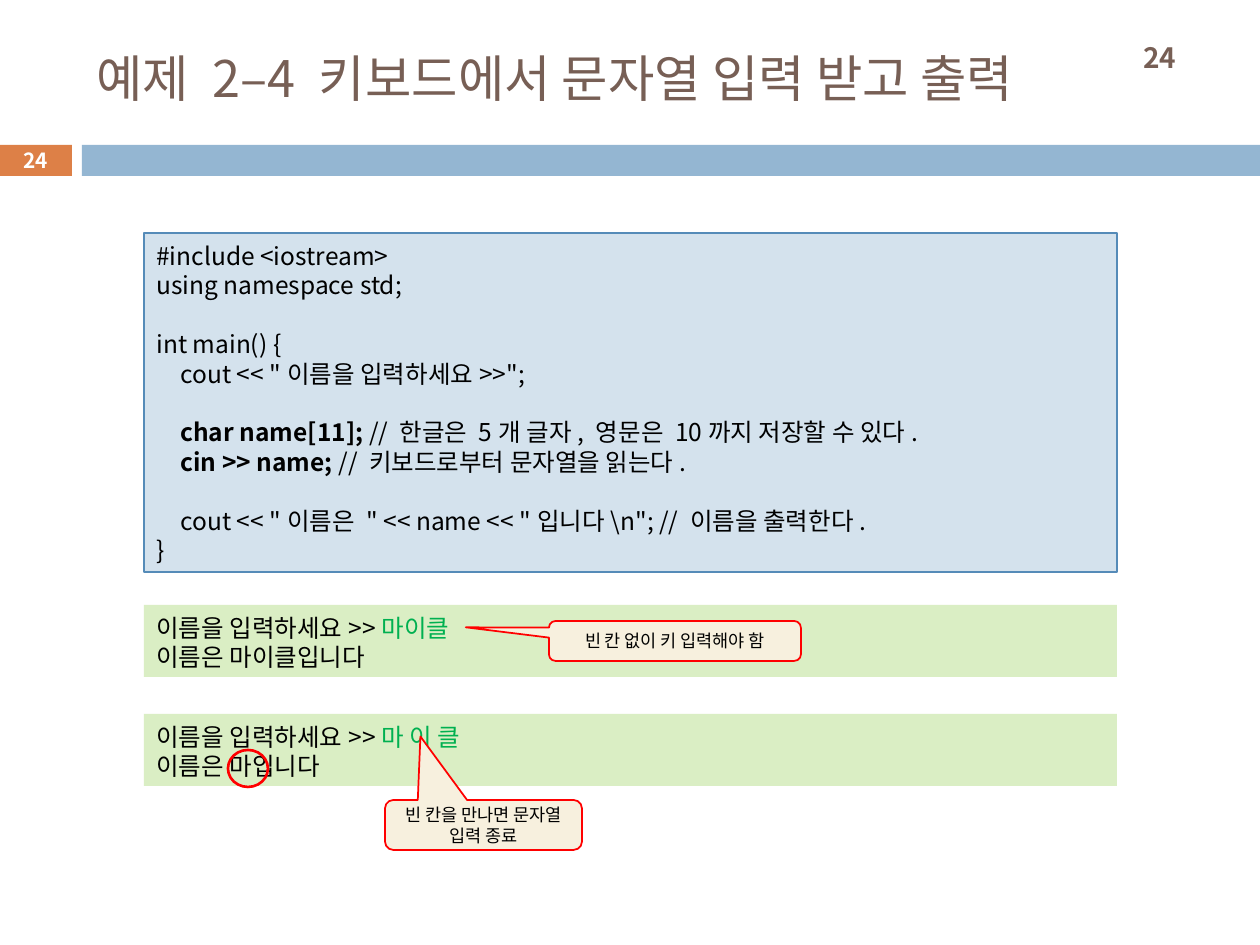
from lxml.etree import SubElement
from pptx import Presentation
from pptx.dml.color import RGBColor
from pptx.enum.shapes import MSO_SHAPE
from pptx.enum.text import MSO_ANCHOR, PP_ALIGN
from pptx.oxml.ns import qn
from pptx.util import Emu, Pt

BLACK, WHITE, BROWN, GREEN, RED = "000000", "FFFFFF", "775F55", "00B050", "FF0000"
ORANGE, BLUE, CODE_FILL, CODE_LINE = "DD8047", "94B6D2", "D4E2ED", "558BB8"
OUTPUT_FILL, NOTE_FILL = "DAEEC4", "F7F0DE"


def px(length):
    return Emu(round(length * 9144000 / 1260))


def color(value):
    return RGBColor.from_string(value)


class SlideBuilder:
    font = "Noto Sans CJK KR"
    line_ratio = 1.2

    def __init__(self, slide):
        self.slide = slide

    def format_run(self, run, size, hue=BLACK, bold=False):
        run.font.name = self.font
        run.font.size = Pt(size)
        run.font.bold = bold
        run.font.color.rgb = color(hue)
        SubElement(run.font._element, qn("a:ea"), typeface=self.font)

    def place(self, shape, box):
        shape.left, shape.top, shape.width, shape.height = map(px, box)

    def title(self, text, box, size):
        shape = self.slide.shapes.title
        self.place(shape, box)
        shape.text_frame.text = text
        shape.text_frame.vertical_anchor = MSO_ANCHOR.MIDDLE
        paragraph = shape.text_frame.paragraphs[0]
        paragraph.alignment = PP_ALIGN.LEFT
        self.format_run(paragraph.runs[0], size, BROWN)

    def shape(self, kind, box, fill=None, line=None, width=1):
        shape = self.slide.shapes.add_shape(kind, *map(px, box))
        shape.shadow.inherit = False
        if fill:
            shape.fill.solid()
            shape.fill.fore_color.rgb = color(fill)
        else:
            shape.fill.background()
        if line:
            shape.line.color.rgb = color(line)
            shape.line.width = Pt(width)
        else:
            shape.line.fill.background()
        return shape

    def number(self, text, box, size, hue):
        frame = self.slide.shapes.add_textbox(*map(px, box)).text_frame
        frame.word_wrap = True
        frame.vertical_anchor = MSO_ANCHOR.MIDDLE
        frame.text = text
        frame.paragraphs[0].alignment = PP_ALIGN.CENTER
        self.format_run(frame.paragraphs[0].runs[0], size, hue, True)

    def listing(self, box, lines, fill, line=None, gaps=(), size=14):
        shape = self.shape(MSO_SHAPE.RECTANGLE, box, fill, line, 0.75)
        frame = shape.text_frame
        frame.word_wrap = True
        frame.vertical_anchor = MSO_ANCHOR.TOP
        frame.margin_top = px(8)
        height = Pt(size * self.line_ratio)
        for index, parts in enumerate(lines):
            paragraph = frame.add_paragraph() if index else frame.paragraphs[0]
            paragraph.alignment = PP_ALIGN.LEFT
            paragraph.line_spacing = height
            if index in gaps:
                paragraph.space_before = height
            tabs = SubElement(paragraph._p.get_or_add_pPr(), qn("a:tabLst"))
            SubElement(tabs, qn("a:tab"), pos=str(px(24)), algn="l")
            for text, hue, bold in parts:
                run = paragraph.add_run()
                run.text = text
                self.format_run(run, size, hue, bold)

    def callout(self, box, text, tip, size=10):
        shape = self.shape(MSO_SHAPE.ROUNDED_RECTANGULAR_CALLOUT, box, NOTE_FILL, RED)
        shape.adjustments[0], shape.adjustments[1] = tip
        frame = shape.text_frame
        frame.word_wrap = True
        frame.vertical_anchor = MSO_ANCHOR.MIDDLE
        frame.text = text
        paragraph = frame.paragraphs[0]
        paragraph.alignment = PP_ALIGN.CENTER
        paragraph.line_spacing = Pt(size * self.line_ratio)
        self.format_run(paragraph.runs[0], size)


def plain(text):
    return text, BLACK, False


def strong(text):
    return text, BLACK, True


def main():
    presentation = Presentation()
    presentation.slide_width, presentation.slide_height = px(1260), px(945)
    builder = SlideBuilder(presentation.slides.add_slide(presentation.slide_layouts[5]))

    builder.shape(MSO_SHAPE.RECTANGLE, (-1, 145, 73, 31), ORANGE)
    builder.shape(MSO_SHAPE.RECTANGLE, (82, 145, 1178, 31), BLUE)
    builder.number("24", (1102, 31, 116, 53), 16, BROWN)
    builder.title("예제 2–4 키보드에서 문자열 입력 받고 출력", (84, 31, 1124, 93), 28.8)
    builder.number("24", (-1, 143, 73, 34), 11.9, WHITE)

    code = [
        [plain("#include <iostream>")],
        [plain("using namespace std;")],
        [plain("int main() {")],
        [plain("\tcout << \"이름을 입력하세요>>\";")],
        [strong("\tchar name[11]; "),
         plain("// 한글은 5개 글자, 영문은 10까지 저장할 수 있다.")],
        [strong("\tcin >> name; "), plain("// 키보드로부터 문자열을 읽는다.")],
        [plain("\tcout << \"이름은 \" << name << \"입니다\\n\"; // 이름을 출력한다.")],
        [plain("}")],
    ]
    builder.listing((144, 233, 973, 339), code, CODE_FILL, CODE_LINE, gaps=(2, 4, 6))

    outputs = [(605, "마이클", "마이클"), (714, "마 이 클", "마")]
    for top, typed, stored in outputs:
        lines = [[plain("이름을 입력하세요>>"), (typed, GREEN, False)],
                 [plain(f"이름은 {stored}입니다")]]
        builder.listing((144, top, 973, 72), lines, OUTPUT_FILL)

    builder.callout((549, 621, 252, 40), "빈 칸 없이 키 입력해야 함", (-0.83, -0.34))
    builder.callout((385, 800, 197, 50), "빈 칸을 만나면 문자열 입력 종료", (-0.32, -1.77))
    builder.shape(MSO_SHAPE.OVAL, (228, 750, 40, 37), line=RED, width=1.5)

    presentation.save("out.pptx")


if __name__ == "__main__":
    main()
